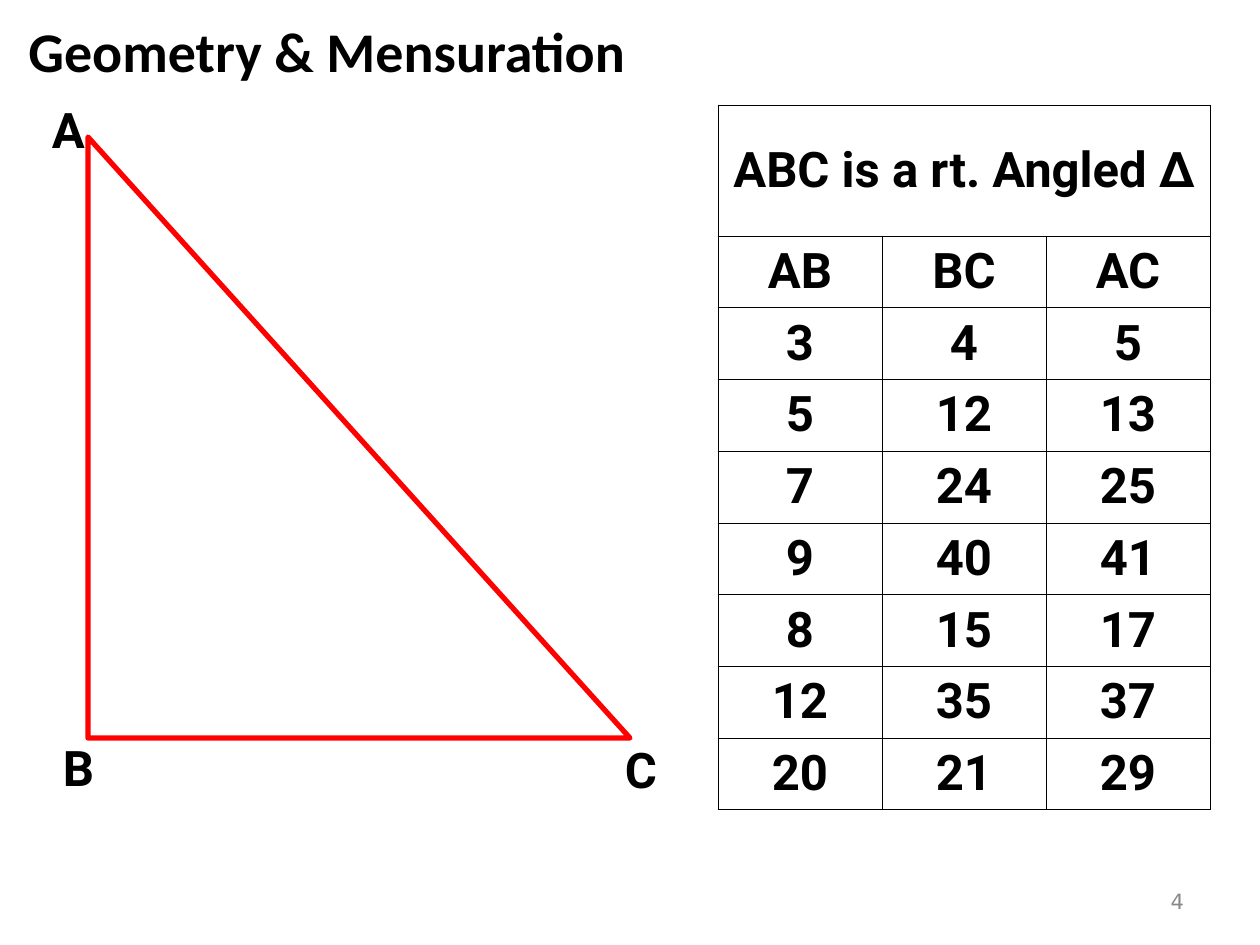
from dataclasses import dataclass

import pptx
import pptx.dml.color
import pptx.enum.shapes
import pptx.enum.text
import pptx.oxml
import pptx.oxml.ns
import pptx.util

EMU_PER_PX = 914400 / 126
ALIGN = pptx.enum.text.PP_ALIGN
MIDDLE = pptx.enum.text.MSO_ANCHOR.MIDDLE


@dataclass(frozen=True)
class TextStyle:
    font: str
    size: int
    color: str
    bold: bool = True


@dataclass(frozen=True)
class Theme:
    title: TextStyle = TextStyle("Calibri", 32, "000000")
    body: TextStyle = TextStyle("Roboto", 28, "000000")
    page_number: TextStyle = TextStyle("DejaVu Sans", 12, "898989", False)
    triangle_line: str = "FF0000"
    triangle_line_width: int = 3
    border: str = "000000"
    border_width: float = 0.45


@dataclass(frozen=True)
class Box:
    left: int
    top: int
    width: int
    height: int


@dataclass(frozen=True)
class Label:
    text: str
    box: Box
    style: TextStyle
    align: ALIGN = ALIGN.CENTER
    margin_x: int = 13
    margin_y: int = 6


THEME = Theme()
VERTEX_SIZE = 38
LABELS = [
    Label("Geometry & Mensuration", Box(14, 20, 626, 60), THEME.title,
          margin_x=0, margin_y=0),
    Label("4", Box(903, 876, 294, 50), THEME.page_number, ALIGN.RIGHT),
] + [
    Label(name, Box(left, top, VERTEX_SIZE, VERTEX_SIZE), THEME.body)
    for name, left, top in [("A", 39, 110), ("B", 50, 748), ("C", 612, 750)]
]
TRIANGLE = Box(88, 137, 542, 601)

TABLE = Box(718, 105, 492, 705)
TABLE_HEADING_HEIGHT = 131
TABLE_HEADING = "ABC is a rt. Angled ∆"
TRIPLES = [
    ("AB", "BC", "AC"),
    (3, 4, 5),
    (5, 12, 13),
    (7, 24, 25),
    (9, 40, 41),
    (8, 15, 17),
    (12, 35, 37),
    (20, 21, 29),
]


def px(length: float) -> pptx.util.Emu:
    return pptx.util.Emu(round(length * EMU_PER_PX))


def place(box: Box) -> tuple:
    return px(box.left), px(box.top), px(box.width), px(box.height)


def rgb(color: str) -> pptx.dml.color.RGBColor:
    return pptx.dml.color.RGBColor.from_string(color)


def write(text_frame, text: str, style: TextStyle, align: ALIGN) -> None:
    paragraph = text_frame.paragraphs[0]
    paragraph.text = text
    paragraph.alignment = align
    paragraph.font.name = style.font
    paragraph.font.size = pptx.util.Pt(style.size)
    paragraph.font.bold = style.bold
    paragraph.font.color.rgb = rgb(style.color)


def add_label(slide, label: Label) -> None:
    text_frame = slide.shapes.add_textbox(*place(label.box)).text_frame
    text_frame.word_wrap = True
    text_frame.vertical_anchor = MIDDLE
    text_frame.margin_left = text_frame.margin_right = px(label.margin_x)
    text_frame.margin_top = text_frame.margin_bottom = px(label.margin_y)
    write(text_frame, label.text, label.style, label.align)


def add_triangle(slide, box: Box) -> None:
    shape = slide.shapes.add_shape(
        pptx.enum.shapes.MSO_SHAPE.RIGHT_TRIANGLE, *place(box))
    shape.shadow.inherit = False
    shape.fill.background()
    shape.line.color.rgb = rgb(THEME.triangle_line)
    shape.line.width = pptx.util.Pt(THEME.triangle_line_width)


def style_cell(cell) -> None:
    properties = cell._tc.get_or_add_tcPr()
    for side in ("lnL", "lnR", "lnT", "lnB"):
        properties.append(pptx.oxml.parse_xml(
            f'<a:{side} {pptx.oxml.ns.nsdecls("a")} '
            f'w="{pptx.util.Pt(THEME.border_width)}"><a:solidFill>'
            f'<a:srgbClr val="{THEME.border}"/></a:solidFill></a:{side}>'))
    cell.fill.background()
    cell.vertical_anchor = MIDDLE
    cell.margin_left = cell.margin_right = px(13)
    cell.margin_top = cell.margin_bottom = px(6)


def add_triples_table(slide, box: Box) -> None:
    column_count = len(TRIPLES[0])
    table = slide.shapes.add_table(
        len(TRIPLES) + 1, column_count, *place(box)).table
    table.first_row = table.horz_banding = False
    for column in table.columns:
        column.width = px(box.width / column_count)
    for row in table.rows:
        row.height = px((box.height - TABLE_HEADING_HEIGHT) / len(TRIPLES))
    table.rows[0].height = px(TABLE_HEADING_HEIGHT)
    for cell in table.iter_cells():
        style_cell(cell)

    # Heading across all columns, then one row per triple
    table.cell(0, 0).merge(table.cell(0, column_count - 1))
    write(table.cell(0, 0).text_frame, TABLE_HEADING, THEME.body, ALIGN.CENTER)
    for row_index, triple in enumerate(TRIPLES, start=1):
        for column_index, value in enumerate(triple):
            write(table.cell(row_index, column_index).text_frame,
                  str(value), THEME.body, ALIGN.CENTER)


def main() -> None:
    presentation = pptx.Presentation()
    presentation.slide_width = px(1260)
    presentation.slide_height = px(945)
    slide = presentation.slides.add_slide(presentation.slide_layouts[6])

    # Title, page number and vertex names
    for label in LABELS:
        add_label(slide, label)

    # Right-angled triangle and its side lengths
    add_triangle(slide, TRIANGLE)
    add_triples_table(slide, TABLE)
    presentation.save("out.pptx")


if __name__ == "__main__":
    main()
